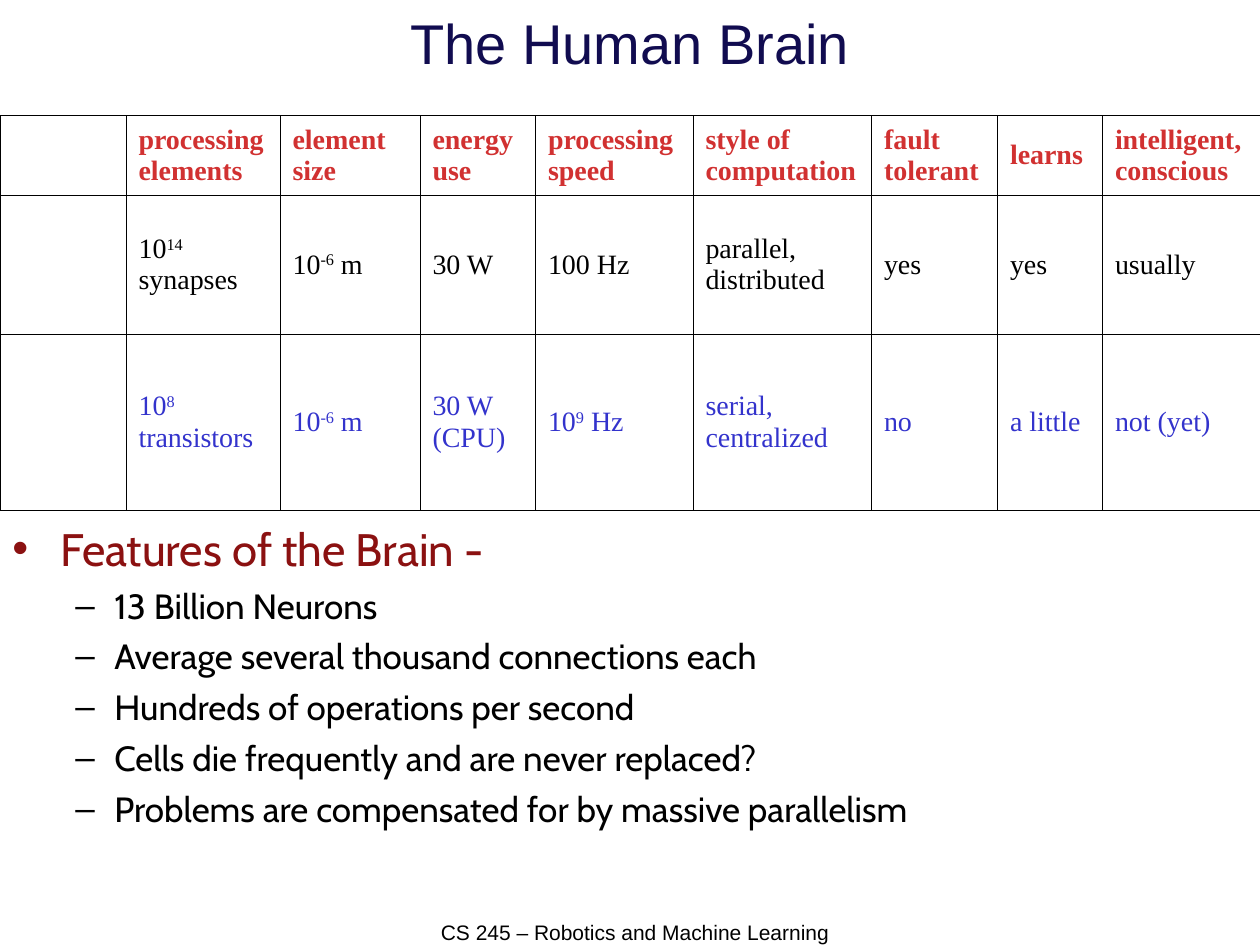
from dataclasses import dataclass

from lxml import etree
from pptx import Presentation, util as u
from pptx.dml.color import RGBColor
from pptx.enum import text
from pptx.oxml import ns


@dataclass(frozen=True)
class Theme:
    sans: str = "Arial"
    serif: str = "Times New Roman"
    body: str = "Cabin"
    title_size: int = 32
    heading_size: int = 26
    item_size: int = 20
    cell_size: int = 16
    footer_size: int = 12
    border: float = 0.34
    black: str = "000000"
    navy: str = "110C50"
    maroon: str = "8B1111"
    red: str = "D13131"
    blue: str = "3333CC"


THEME = Theme()
COLUMNS, ROWS = 120, 90  # square grid over the slide
UNIT = u.Inches(10) / COLUMNS

TABLE_COLUMNS = [12, 14.67, 13.33, 11, 15, 17, 12, 10, 15]
TABLE_ROWS = [7.5, 13.2, 16.8]
# Text between carets is superscript.
HEADERS = ["", "processing elements", "element size", "energy use", "processing speed",
           "style of computation", "fault tolerant", "learns", "intelligent, conscious"]
BRAIN = ["", "10^14^ synapses", "10^-6^ m", "30 W", "100 Hz",
         "parallel, distributed", "yes", "yes", "usually"]
COMPUTER = ["", "10^8^ transistors", "10^-6^ m", "30 W (CPU)", "10^9^ Hz",
            "serial, centralized", "no", "a little", "not (yet)"]
FEATURES = [
    "13 Billion Neurons",
    "Average several thousand connections each",
    "Hundreds of operations per second",
    "Cells die frequently and are never replaced?",
    "Problems are compensated for by massive parallelism",
]


def grid(*units):
    return [u.Emu(round(n * UNIT)) for n in units]


def style(r, font, size, color, bold=False):
    r.font.name = font
    r.font.size = u.Pt(size)
    r.font.bold = bold
    r.font.color.rgb = RGBColor.from_string(color)


def add_text_box(slide, box):
    tf = slide.shapes.add_textbox(*grid(*box)).text_frame
    tf.word_wrap = True
    return tf


def add_centred_line(slide, box, words, size, color, anchor):
    tf = add_text_box(slide, box)
    tf.vertical_anchor = anchor
    tf.text = words
    p = tf.paragraphs[0]
    p.alignment = text.PP_ALIGN.CENTER
    style(p.runs[0], THEME.sans, size, color)


def set_borders(cell):
    tc_pr = cell._tc.get_or_add_tcPr()
    for i, side in enumerate(("a:lnL", "a:lnR", "a:lnT", "a:lnB")):
        ln = etree.Element(ns.qn(side), w=str(u.Pt(THEME.border)))
        fill = etree.SubElement(ln, ns.qn("a:solidFill"))
        etree.SubElement(fill, ns.qn("a:srgbClr"), val=THEME.black)
        tc_pr.insert(i, ln)


def fill_cell(cell, words, color, bold):
    cell.fill.background()
    set_borders(cell)
    cell.vertical_anchor = text.MSO_ANCHOR.MIDDLE
    p = cell.text_frame.paragraphs[0]
    for i, part in enumerate(words.split("^")):
        if not part:
            continue
        r = p.add_run()
        r.text = part
        style(r, THEME.serif, THEME.cell_size, color, bold)
        if i % 2:
            r._r.get_or_add_rPr().set("baseline", "30000")


def add_comparison(slide):
    box = grid(0, 11, COLUMNS, sum(TABLE_ROWS))
    table = slide.shapes.add_table(len(TABLE_ROWS), len(TABLE_COLUMNS), *box).table
    table.first_row = table.horz_banding = False
    for column, width in zip(table.columns, grid(*TABLE_COLUMNS)):
        column.width = width
    contents = [(HEADERS, THEME.red, True), (BRAIN, THEME.black, False),
                (COMPUTER, THEME.blue, False)]
    for row, height, (entries, color, bold) in zip(table.rows, grid(*TABLE_ROWS), contents):
        row.height = height
        for cell, words in zip(row.cells, entries):
            fill_cell(cell, words, color, bold)


def format_bullet(p, char, level, margin, hanging, size, color):
    p.level = level
    p.space_before = u.Pt(size / 4)
    style(p.runs[0], THEME.body, size, color)
    p_pr = p._p.get_or_add_pPr()
    p_pr.set("marL", str(u.Inches(margin)))
    p_pr.set("indent", str(-u.Inches(hanging)))
    bu_clr = etree.SubElement(p_pr, ns.qn("a:buClr"))
    etree.SubElement(bu_clr, ns.qn("a:srgbClr"), val=color)
    etree.SubElement(p_pr, ns.qn("a:buFont"), typeface=THEME.sans)
    etree.SubElement(p_pr, ns.qn("a:buChar"), char=char)


def add_features(slide):
    tf = add_text_box(slide, (0, 49, COLUMNS, 38))
    tf.text = "\n".join(["Features of the Brain -", *FEATURES])
    heading, *items = tf.paragraphs
    format_bullet(heading, "•", 0, 0.38, 0.38, THEME.heading_size, THEME.maroon)
    for p in items:
        format_bullet(p, "–", 1, 0.81, 0.31, THEME.item_size, THEME.black)


def main():
    prs = Presentation()
    prs.slide_width, prs.slide_height = grid(COLUMNS, ROWS)
    slide = prs.slides.add_slide(prs.slide_layouts[6])
    add_centred_line(slide, (38, 87, 45, 3), "CS 245 – Robotics and Machine Learning",
                     THEME.footer_size, THEME.black, text.MSO_ANCHOR.TOP)
    add_centred_line(slide, (0, 0, COLUMNS, 8), "The Human Brain",
                     THEME.title_size, THEME.navy, text.MSO_ANCHOR.MIDDLE)
    add_comparison(slide)
    add_features(slide)
    prs.save("out.pptx")


if __name__ == "__main__":
    main()
